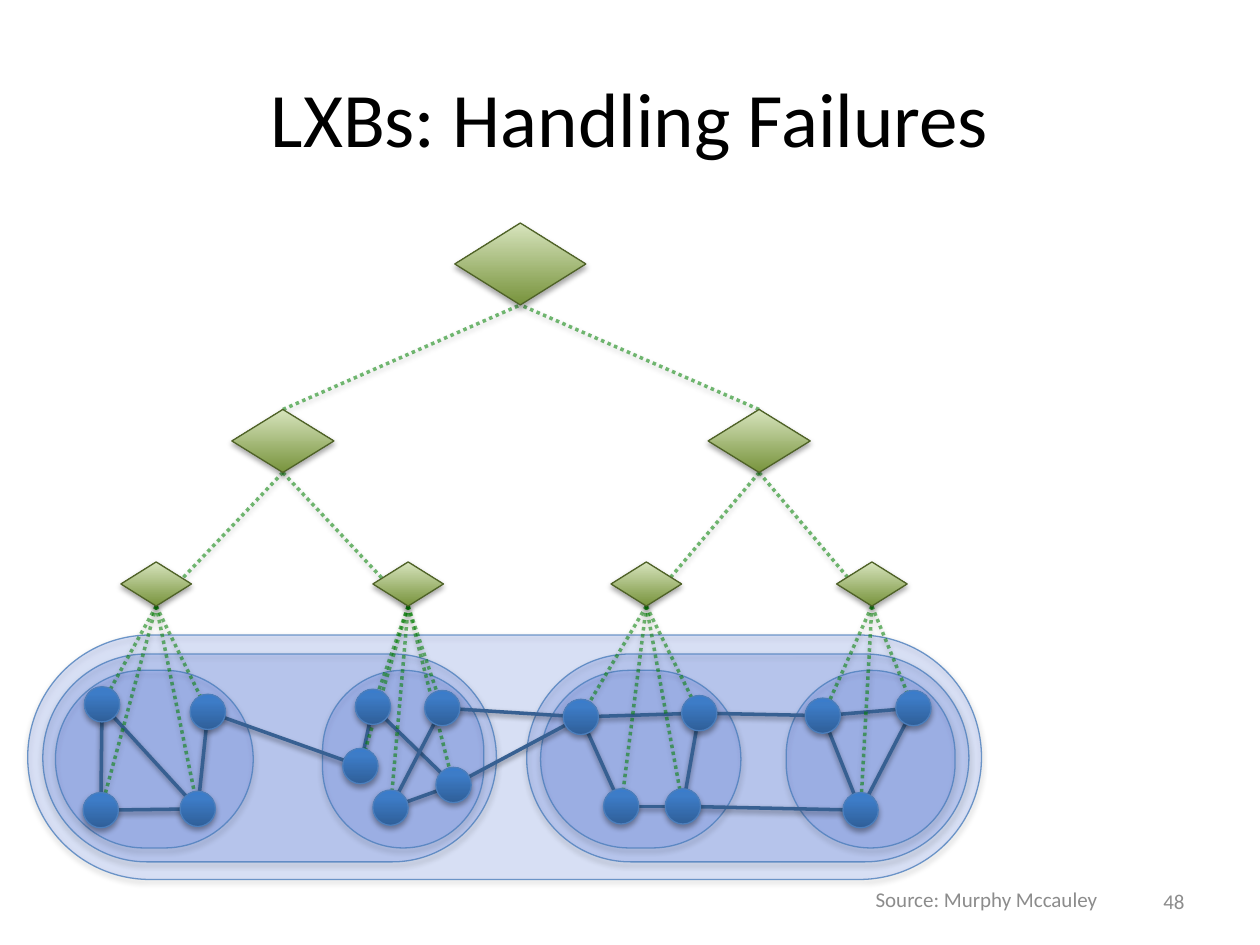
from dataclasses import dataclass

from lxml.etree import SubElement
from pptx import Presentation
from pptx.dml.color import RGBColor
from pptx.enum.dml import MSO_LINE as Dash
from pptx.enum.shapes import MSO_CONNECTOR as Link, MSO_SHAPE as Form
from pptx.enum.text import MSO_ANCHOR as Anchor, PP_ALIGN as Align
from pptx.oxml.ns import qn
from pptx.util import Inches, Pt

BLACK = RGBColor(0x00, 0x00, 0x00)
GRAY = RGBColor(0x8C, 0x8C, 0x8C)
ZONE = RGBColor(0x33, 0x66, 0xFF)
RIM = RGBColor(0x4B, 0x7E, 0xBC)
NAVY = RGBColor(0x37, 0x60, 0x92)
GREEN = RGBColor(0x00, 0x80, 0x00)
OLIVE = RGBColor(0x4F, 0x62, 0x28)
LEAF_FADE = [(0, RGBColor(0x77, 0x93, 0x3C)), (100, RGBColor(0xD7, 0xE4, 0xBD))]
NODE_FADE = [
    (0, RGBColor(0x2F, 0x5F, 0x99)),
    (80, RGBColor(0x3D, 0x7C, 0xC7)),
    (100, RGBColor(0x3A, 0x7C, 0xCB)),
]
FONT = "Calibri"
DOT = 0.28


@dataclass(frozen=True)
class Box:
    x: float
    y: float
    w: float
    h: float

    @property
    def mid(self) -> tuple[float, float]:
        return self.x + self.w / 2, self.y + self.h / 2

    @property
    def top(self) -> tuple[float, float]:
        return self.x + self.w / 2, self.y

    @property
    def base(self) -> tuple[float, float]:
        return self.x + self.w / 2, self.y + self.h

    def lengths(self) -> list[int]:
        return [Inches(v) for v in (self.x, self.y, self.w, self.h)]


@dataclass(frozen=True)
class Label:
    text: str
    box: Box
    align: Align


ZONES = [
    Box(0.22, 5.04, 7.57, 1.94),
    Box(0.34, 5.19, 3.6, 1.65),
    Box(2.56, 5.32, 1.28, 1.41),
    Box(4.18, 5.19, 3.51, 1.65),
    Box(0.44, 5.32, 1.57, 1.41),
    Box(4.29, 5.32, 1.59, 1.41),
    Box(6.24, 5.32, 1.34, 1.41),
]
ROOT = Box(3.61, 1.77, 1.04, 0.65)
MIDS = [Box(x, 3.25, 0.81, 0.5) for x in (1.84, 5.62)]
LEAVES = [Box(x, 4.46, 0.56, 0.35) for x in (0.96, 2.96, 4.85, 6.64)]
GROUPS = [
    {"a1": (0.67, 5.45), "a2": (1.51, 5.51), "a3": (0.66, 6.29), "a4": (1.43, 6.28)},
    {"b1": (2.82, 5.47), "b2": (2.72, 5.94), "b3": (2.96, 6.27),
     "b4": (3.46, 6.09), "b5": (3.37, 5.48)},
    {"c1": (4.47, 5.55), "c2": (4.79, 6.26), "c3": (5.28, 6.26), "c4": (5.41, 5.52)},
    {"d1": (6.39, 5.54), "d2": (6.69, 6.29), "d3": (7.11, 5.48)},
]
NODES = {
    name: Box(x, y, DOT, DOT) for group in GROUPS for name, (x, y) in group.items()
}
EDGES = (
    "a4-a2 a3-a4 a1-a3 a4-a1 a2-b2 b1-b2 b1-b4 b5-b3 b4-b3 b5-c1 b4-c1 "
    "c1-c2 c4-c3 c4-c1 c2-c3 d3-d1 d3-d2 d1-d2 c4-d1 d2-c3"
).split()
LABELS = [
    Label("48", Box(7.17, 6.95, 2.33, 0.4), Align.RIGHT),
    Label("Source: Murphy Mccauley", Box(6.08, 6.92, 3.5, 0.43), Align.CENTER),
]


def fade(fill, share: int) -> None:
    color = fill.find(".//" + qn("a:srgbClr"))
    SubElement(color, qn("a:alpha"), val=str(share * 1000))


def shade(item, share: int, gap: int) -> None:
    props = item._element.spPr
    effects = SubElement(props, qn("a:effectLst"))
    cast = SubElement(
        effects, qn("a:outerShdw"), blurRad="40000", dist=str(gap),
        dir="5400000", rotWithShape="0",
    )
    color = SubElement(cast, qn("a:srgbClr"), val=str(BLACK))
    SubElement(color, qn("a:alpha"), val=str(share * 1000))


def add_form(slide, kind: Form, box: Box, edge: RGBColor):
    form = slide.shapes.add_shape(kind, *box.lengths())
    if kind == Form.ROUNDED_RECTANGLE:
        form.adjustments[0] = 0.5
    form.line.color.rgb = edge
    form.line.width = Pt(0.75)
    shade(form, 35, 23000)
    return form


def add_zone(slide, box: Box) -> None:
    form = add_form(slide, Form.ROUNDED_RECTANGLE, box, RIM)
    form.fill.solid()
    form.fill.fore_color.rgb = ZONE
    props = form._element.spPr
    fade(props.find(qn("a:solidFill")), 14)
    fade(props.find(qn("a:ln")), 79)


def add_blend(slide, kind: Form, box: Box, edge: RGBColor, stops: list) -> None:
    form = add_form(slide, kind, box, edge)
    form.fill.gradient()
    form.fill.gradient_angle = 90
    ramp = form._element.spPr.find(".//" + qn("a:gsLst"))
    for old in list(ramp):
        ramp.remove(old)
    for place, color in stops:
        stop = SubElement(ramp, qn("a:gs"), pos=str(place * 1000))
        SubElement(stop, qn("a:srgbClr"), val=str(color))


def add_link(slide, start: tuple, end: tuple, color: RGBColor, dotted: bool) -> None:
    ends = [Inches(v) for v in (*start, *end)]
    link = slide.shapes.add_connector(Link.STRAIGHT, *ends)
    link.line.color.rgb = color
    link.line.width = Pt(2)
    if dotted:
        link.line.dash_style = Dash.ROUND_DOT
        fade(link._element.spPr.find(qn("a:ln")), 54)
    shade(link, 38, 20000)


def set_text(shape, text: str, size: int, color: RGBColor, align: Align) -> None:
    frame = shape.text_frame
    frame.word_wrap = True
    frame.vertical_anchor = Anchor.MIDDLE
    para = frame.paragraphs[0]
    para.text = text
    para.alignment = align
    para.font.name = FONT
    para.font.size = Pt(size)
    para.font.color.rgb = color


def main() -> None:
    deck = Presentation()
    deck.slide_width, deck.slide_height = Inches(10), Inches(7.5)
    slide = deck.slides.add_slide(deck.slide_layouts[5])
    title = slide.shapes.title
    title.left, title.top, title.width, title.height = Box(0.5, 0.3, 9, 1.25).lengths()
    set_text(title, "LXBs: Handling Failures", 44, BLACK, Align.CENTER)

    for zone in ZONES:
        add_zone(slide, zone)
    for edge in EDGES:
        start, end = edge.split("-")
        add_link(slide, NODES[start].mid, NODES[end].mid, NAVY, False)

    for i, mid in enumerate(MIDS):
        add_link(slide, mid.top, ROOT.base, GREEN, True)
        for leaf in LEAVES[2 * i:2 * i + 2]:
            add_link(slide, mid.base, leaf.base, GREEN, True)
    for leaf, group in zip(LEAVES, GROUPS):
        for name in group:
            add_link(slide, leaf.base, NODES[name].mid, GREEN, True)

    for box in [ROOT, *LEAVES, *MIDS]:
        add_blend(slide, Form.DIAMOND, box, OLIVE, LEAF_FADE)
    for box in NODES.values():
        add_blend(slide, Form.ROUNDED_RECTANGLE, box, RIM, NODE_FADE)
    for label in LABELS:
        area = slide.shapes.add_textbox(*label.box.lengths())
        set_text(area, label.text, 12, GRAY, label.align)
    deck.save("out.pptx")


if __name__ == "__main__":
    main()
